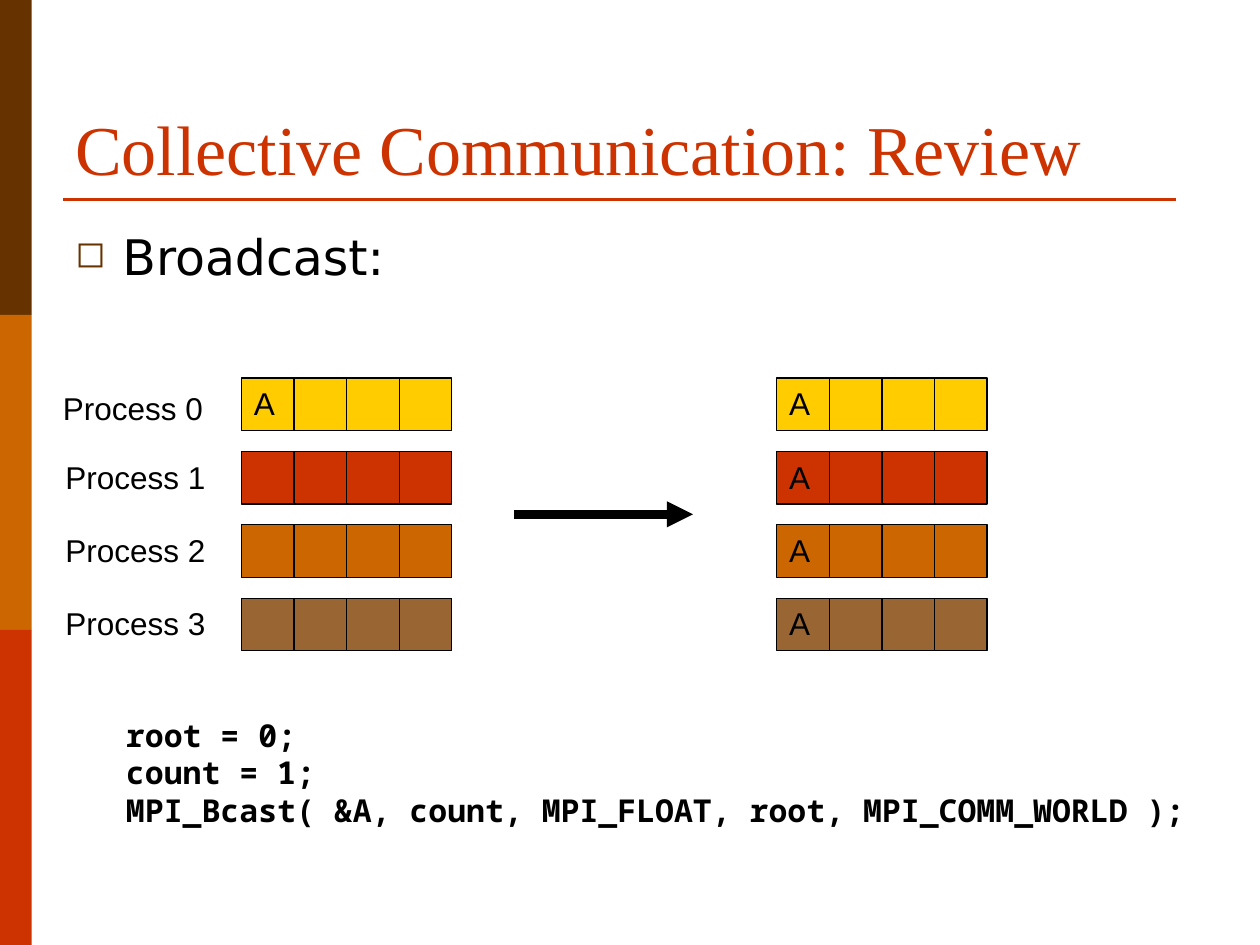
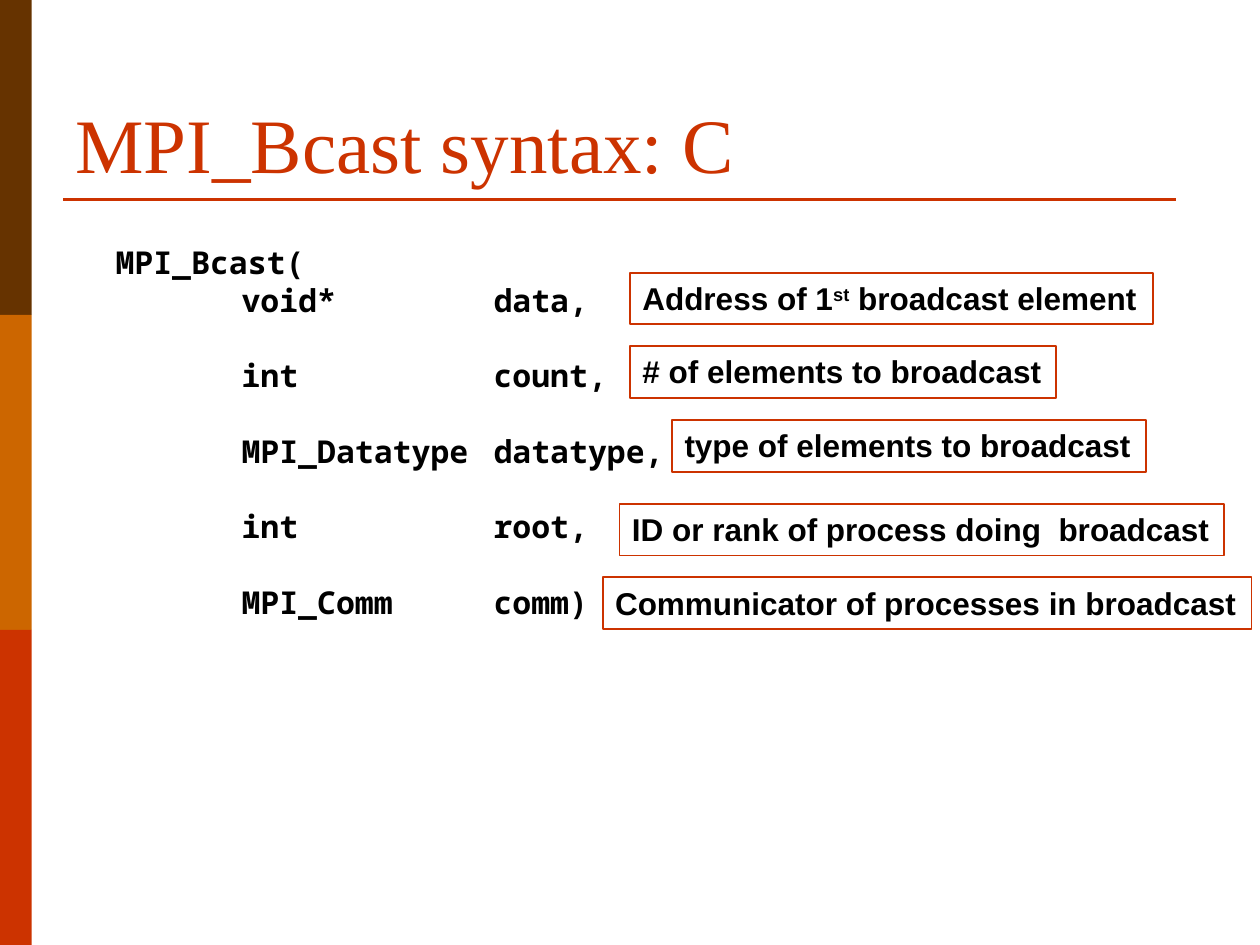
from dataclasses import dataclass

from lxml.etree import SubElement
from pptx import Presentation
from pptx.dml.color import RGBColor
from pptx.enum.shapes import MSO_CONNECTOR, MSO_SHAPE
from pptx.enum.text import MSO_ANCHOR, MSO_AUTO_SIZE, PP_ALIGN
from pptx.oxml.ns import qn
from pptx.util import Cm, Pt

BLACK = "000000"
BROWN = "663300"
ORANGE = "CC6600"
RED = "CC3300"
YELLOW = "FFCC00"
TAN = "996633"

SLIDE_WIDTH, SLIDE_HEIGHT = 25.4, 19.05
BAND_COLOURS = [BROWN, ORANGE, RED]
BAND_WIDTH = 0.64
BAND_HEIGHT = SLIDE_HEIGHT / len(BAND_COLOURS)

PROCESS_COLOURS = [YELLOW, RED, ORANGE, TAN]
CELL_COUNT = 4
CELL_SIZE = 1.06
ROW_TOP, ROW_PITCH = 7.62, 1.48
BEFORE_LEFT, AFTER_LEFT = 4.87, 15.66
TAB_STOPS = [2.54, 7.62]


@dataclass(frozen=True)
class Box:
    left: float
    top: float
    width: float
    height: float

    def lengths(self) -> tuple:
        return Cm(self.left), Cm(self.top), Cm(self.width), Cm(self.height)


@dataclass(frozen=True)
class Style:
    font: str
    size: float
    bold: bool = False
    colour: str = BLACK


@dataclass(frozen=True)
class Note:
    left: float
    top: float
    width: float
    text: str
    superscript: str = ""
    ending: str = ""


LABEL = Style("Arial", 18)
NOTE = Style("Arial", 18, bold=True)
CODE = Style("Noto Sans Mono", 18, bold=True)
BODY = Style("DejaVu Sans", 28)

BROADCAST_CALL = [
    "root = 0;",
    "count = 1;",
    "MPI_Bcast( &A, count, MPI_FLOAT, root, MPI_COMM_WORLD );",
]
PARAMETERS = [
    ("void*", "data,"),
    ("int", "count,"),
    ("MPI_Datatype", "datatype,"),
    ("int", "root,"),
    ("MPI_Comm", "comm)"),
]
NOTES = [
    Note(12.7, 5.5, 10.54, "Address of 1", "st", " broadcast element"),
    Note(12.7, 6.98, 8.59, "# of elements to broadcast"),
    Note(13.55, 8.47, 9.55, "type of elements to broadcast"),
    Note(12.49, 10.16, 12.19, "ID or rank of process doing  broadcast"),
    Note(12.15, 11.64, 13.08, "Communicator of processes in broadcast"),
]


def colour(value: str) -> RGBColor:
    return RGBColor.from_string(value)


def add_run(paragraph, text: str, style: Style):
    run = paragraph.add_run()
    run.text = text
    run.font.name = style.font
    run.font.size = Pt(style.size)
    run.font.bold = style.bold
    run.font.color.rgb = colour(style.colour)
    return run


def add_rectangle(shapes, box: Box, fill: str = "", line: str = "", line_width: float = 0.75):
    shape = shapes.add_shape(MSO_SHAPE.RECTANGLE, *box.lengths())
    shape.shadow.inherit = False
    if fill:
        shape.fill.solid()
        shape.fill.fore_color.rgb = colour(fill)
    else:
        shape.fill.background()
    if line:
        shape.line.color.rgb = colour(line)
        shape.line.width = Pt(line_width)
    else:
        shape.line.fill.background()
    return shape


def add_line(shapes, left: float, right: float, top: float, value: str, width: float):
    connector = shapes.add_connector(
        MSO_CONNECTOR.STRAIGHT, Cm(left), Cm(top), Cm(right), Cm(top)
    )
    connector.line.color.rgb = colour(value)
    connector.line.width = Pt(width)
    SubElement(connector.element.spPr, qn("a:effectLst"))
    return connector


def add_text(shapes, box: Box, lines: list[str], style: Style, wrap: bool = False):
    shape = shapes.add_textbox(*box.lengths())
    frame = shape.text_frame
    frame.word_wrap = wrap
    frame.auto_size = MSO_AUTO_SIZE.NONE if wrap else MSO_AUTO_SIZE.SHAPE_TO_FIT_TEXT
    for index, line in enumerate(lines):
        paragraph = frame.add_paragraph() if index else frame.paragraphs[0]
        add_run(paragraph, line, style)
    return shape


def add_bullet(paragraph, character: str, value: str, percent: int, indent: float) -> None:
    properties = paragraph._p.get_or_add_pPr()
    properties.set("marL", str(Cm(indent)))
    properties.set("indent", str(-Cm(indent)))
    bullet_colour = SubElement(properties, qn("a:buClr"))
    SubElement(bullet_colour, qn("a:srgbClr"), val=value)
    SubElement(properties, qn("a:buSzPct"), val=str(percent * 1000))
    SubElement(properties, qn("a:buChar"), char=character)


def add_tab_stops(paragraph, positions: list[float]) -> None:
    tabs = SubElement(paragraph._p.get_or_add_pPr(), qn("a:tabLst"))
    for position in positions:
        SubElement(tabs, qn("a:tab"), pos=str(Cm(position)), algn="l")


def add_base_slide(presentation, title: str, title_size: float):
    slide = presentation.slides.add_slide(presentation.slide_layouts[6])
    for index, value in enumerate(BAND_COLOURS):
        band = Box(0, index * BAND_HEIGHT, BAND_WIDTH, BAND_HEIGHT)
        add_rectangle(slide.shapes, band, value)
    add_line(slide.shapes, 1.27, 23.7, 4.02, RED, 1.5)
    style = Style("Times New Roman", title_size, colour=RED)
    shape = add_text(slide.shapes, Box(1.27, 0.76, 22.86, 3.18), [title], style, wrap=True)
    shape.text_frame.vertical_anchor = MSO_ANCHOR.BOTTOM
    return slide


def add_process_grid(slide, left: float, filled_rows: int) -> None:
    group = slide.shapes.add_group_shape()
    for row, value in enumerate(PROCESS_COLOURS):
        top = ROW_TOP + row * ROW_PITCH
        for column in range(CELL_COUNT):
            cell = Box(left + column * CELL_SIZE, top, CELL_SIZE, CELL_SIZE)
            add_rectangle(group.shapes, cell, value, BLACK)
    for row in range(filled_rows):
        letter = Box(left, ROW_TOP + row * ROW_PITCH, 0.94, 1.02)
        add_text(slide.shapes, letter, ["A"], LABEL)


def add_process_labels(slide) -> None:
    for row in range(len(PROCESS_COLOURS)):
        left, top = (1.07, ROW_TOP + row * ROW_PITCH) if row else (1.02, 7.72)
        add_text(slide.shapes, Box(left, top, 3.33, 1.02), [f"Process {row}"], LABEL)


def build_review_slide(presentation) -> None:
    slide = add_base_slide(presentation, "Collective Communication: Review", 40)
    body = add_text(slide.shapes, Box(1.27, 4.45, 23.5, 2), ["Broadcast:"], BODY, wrap=True)
    paragraph = body.text_frame.paragraphs[0]
    paragraph.space_before = Pt(2)
    add_bullet(paragraph, "\u25fb", BROWN, 75, 0.95)
    add_process_grid(slide, BEFORE_LEFT, 1)
    add_process_grid(slide, AFTER_LEFT, len(PROCESS_COLOURS))
    add_process_labels(slide)
    arrow = add_line(slide.shapes, 10.37, 13.97, 10.37, BLACK, 5)
    SubElement(arrow.line._get_or_add_ln(), qn("a:tailEnd"), type="triangle")
    add_text(slide.shapes, Box(2.29, 14.3, 22, 2.54), BROADCAST_CALL, CODE)


def add_note(slide, note: Note) -> None:
    box = Box(note.left, note.top, note.width, 1.04)
    shape = add_rectangle(slide.shapes, box, line=RED, line_width=1)
    frame = shape.text_frame
    frame.word_wrap = False
    frame.auto_size = MSO_AUTO_SIZE.SHAPE_TO_FIT_TEXT
    frame.vertical_anchor = MSO_ANCHOR.TOP
    paragraph = frame.paragraphs[0]
    paragraph.alignment = PP_ALIGN.LEFT
    add_run(paragraph, note.text, NOTE)
    if note.superscript:
        run = add_run(paragraph, note.superscript, NOTE)
        run._r.get_or_add_rPr().set("baseline", "30000")
        add_run(paragraph, note.ending, NOTE)


def build_syntax_slide(presentation) -> None:
    slide = add_base_slide(presentation, "MPI_Bcast syntax: C", 44)
    lines = ["MPI_Bcast("] + [f"\t{kind}\t{name}" for kind, name in PARAMETERS]
    code = add_text(slide.shapes, Box(2.08, 4.78, 11.58, 7.87), lines, CODE)
    for index, paragraph in enumerate(code.text_frame.paragraphs):
        if index > 1:
            paragraph.space_before = Pt(21.5)
        add_tab_stops(paragraph, TAB_STOPS)
    for note in NOTES:
        add_note(slide, note)


def main() -> None:
    presentation = Presentation()
    presentation.slide_width = Cm(SLIDE_WIDTH)
    presentation.slide_height = Cm(SLIDE_HEIGHT)
    build_review_slide(presentation)
    build_syntax_slide(presentation)
    presentation.save("out.pptx")


main()
